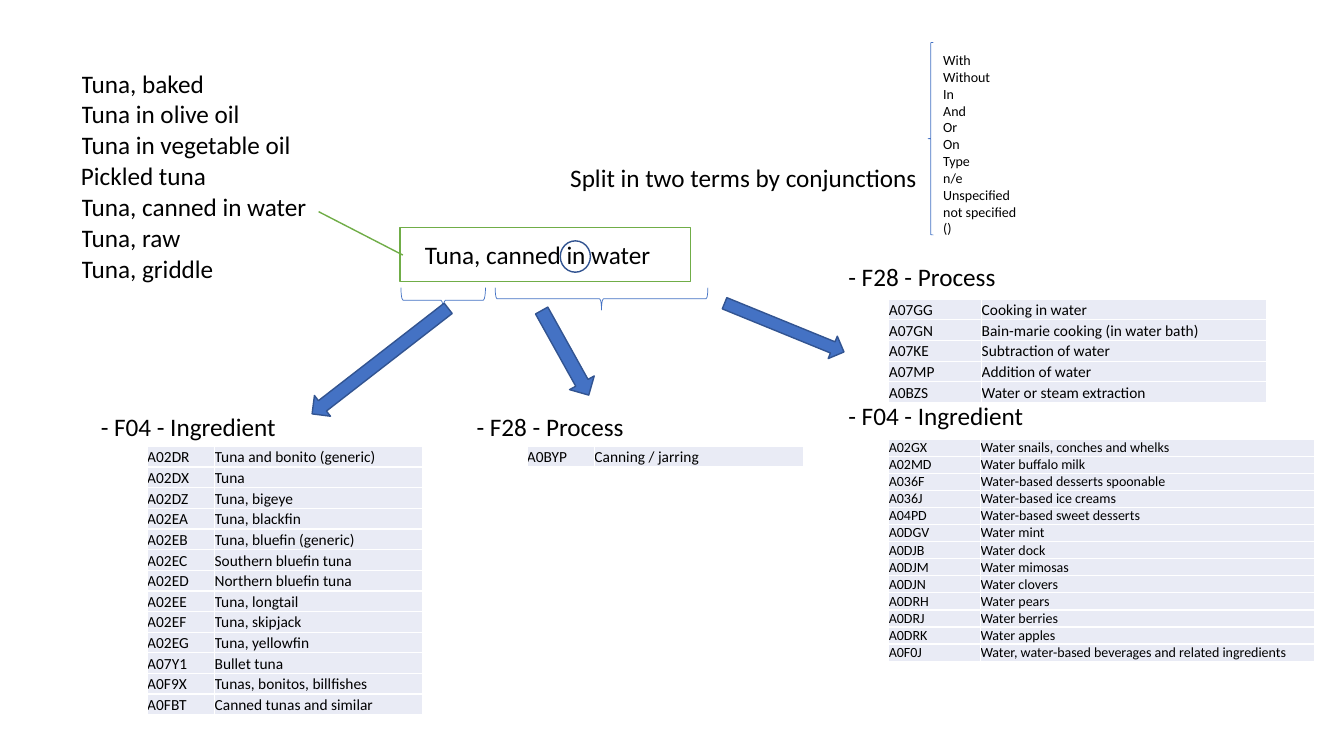
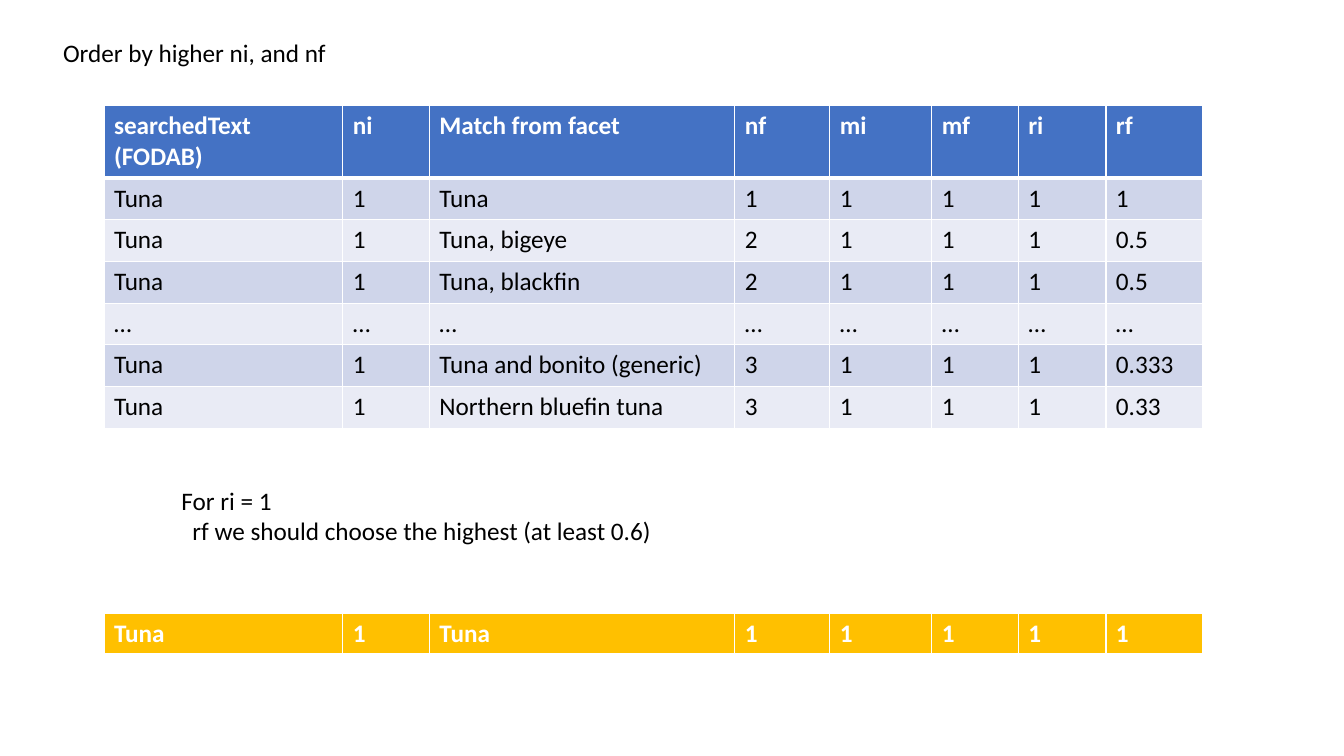
from dataclasses import dataclass
from typing import Any

from lxml.etree import SubElement
from pptx import Presentation
from pptx.dml.color import RGBColor
from pptx.enum.shapes import MSO_SHAPE
from pptx.enum.text import MSO_ANCHOR, MSO_AUTO_SIZE, PP_ALIGN
from pptx.oxml.ns import qn
from pptx.slide import Slide
from pptx.util import Cm, Pt

BLACK, WHITE, GOLD, GREEN = "000000", "FFFFFF", "FFC000", "70AD47"
BLUE, NAVY, BAND, PALE = "4472C4", "325491", "CFD5EA", "E9EBF5"
FONT = "Calibri"
PARAGRAPH_FORMAT = {
    "alignment": PP_ALIGN.LEFT,
    "line_spacing": 1.0,
    "space_before": Pt(0),
    "space_after": Pt(0),
}
FRAME_FORMAT = {
    "word_wrap": True,
    "auto_size": MSO_AUTO_SIZE.NONE,
    "vertical_anchor": MSO_ANCHOR.TOP,
    "margin_left": Cm(0.25),
    "margin_right": Cm(0.25),
    "margin_top": Cm(0.13),
    "margin_bottom": Cm(0.13),
}
TIGHT_CELL = {
    "vertical_anchor": MSO_ANCHOR.BOTTOM,
    "margin_left": 0,
    "margin_right": 0,
    "margin_top": 0,
    "margin_bottom": 0,
}
PLAIN_TABLE = {"first_row": False, "horz_banding": False}


@dataclass(frozen=True)
class Box:
    left: float
    top: float
    width: float
    height: float

    def lengths(self) -> tuple[Cm, Cm, Cm, Cm]:
        return Cm(self.left), Cm(self.top), Cm(self.width), Cm(self.height)


@dataclass(frozen=True)
class Label:
    text: str
    box: Box


@dataclass(frozen=True)
class Mark:
    kind: MSO_SHAPE
    box: Box
    line: str
    weight: float = 1
    rotation: float = 0
    fill: str | None = None
    adjustments: tuple[float, ...] = ()


@dataclass(frozen=True)
class RowStyle:
    fill: str | None
    height: float
    size: float = 18
    color: str = BLACK
    bold: bool = False
    bottom: float = 1
    tight: bool = False


@dataclass(frozen=True)
class Grid:
    left: float
    top: float
    columns: tuple[float, ...]
    rows: list[tuple[str, ...]]
    styles: list[RowStyle]


def rgb(value: str) -> RGBColor:
    return RGBColor.from_string(value)


def apply_format(target: Any, values: dict[str, Any]) -> None:
    for name, value in values.items():
        setattr(target, name, value)


def format_runs(frame: Any, size: float, color: str = BLACK, bold: bool = False) -> None:
    for paragraph in frame.paragraphs:
        apply_format(paragraph, PARAGRAPH_FORMAT)
        for run in paragraph.runs:
            apply_format(run.font, {"name": FONT, "size": Pt(size), "bold": bold})
            run.font.color.rgb = rgb(color)


def write_text(holder: Any, label: Label, size: float = 18) -> None:
    position = dict(zip(("left", "top", "width", "height"), label.box.lengths()))
    apply_format(holder, position)
    frame = holder.text_frame
    frame.text = label.text
    apply_format(frame, FRAME_FORMAT)
    format_runs(frame, size)
    for paragraph in frame.paragraphs:
        indent_paragraph(paragraph, 0)
        SubElement(paragraph._p.get_or_add_pPr(), qn("a:buNone"))


def indent_paragraph(paragraph: Any, indent: float) -> None:
    properties = paragraph._p.get_or_add_pPr()
    properties.set("marL", str(Cm(indent)))
    properties.set("indent", "0")


def add_label(slide: Slide, label: Label) -> None:
    write_text(slide.shapes.add_textbox(*label.box.lengths()), label)


def add_mark(slide: Slide, mark: Mark) -> None:
    shape = slide.shapes.add_shape(mark.kind, *mark.box.lengths())
    shape.shadow.inherit = False
    shape.rotation = mark.rotation
    paint(shape.fill, mark.fill)
    shape.line.color.rgb = rgb(mark.line)
    shape.line.width = Pt(mark.weight)
    for index, value in enumerate(mark.adjustments):
        shape.adjustments[index] = value


def paint(fill: Any, color: str | None) -> None:
    if color is None:
        fill.background()
    else:
        fill.solid()
        fill.fore_color.rgb = rgb(color)


def add_borders(cell: Any, bottom: float) -> None:
    properties = cell._tc.get_or_add_tcPr()
    for side, weight in (("L", 1), ("R", 1), ("T", 1), ("B", bottom)):
        border = SubElement(properties, qn(f"a:ln{side}"), w=str(Pt(weight)))
        SubElement(SubElement(border, qn("a:solidFill")), qn("a:srgbClr"), val=WHITE)


def add_grid(slide: Slide, grid: Grid) -> None:
    box = Box(grid.left, grid.top, sum(grid.columns), sum(s.height for s in grid.styles))
    table = slide.shapes.add_table(len(grid.rows), len(grid.columns), *box.lengths()).table
    apply_format(table, PLAIN_TABLE)
    for column, width in zip(table.columns, grid.columns):
        column.width = Cm(width)
    for row, texts, style in zip(table.rows, grid.rows, grid.styles):
        row.height = Cm(style.height)
        for cell, text in zip(row.cells, texts):
            cell.text = text
            if style.tight:
                apply_format(cell, TIGHT_CELL)
            if style.fill:
                add_borders(cell, style.bottom)
            paint(cell.fill, style.fill)
            format_runs(cell.text_frame, style.size, style.color, style.bold)


def facet_grid(left: float, top: float, columns: tuple[float, float],
               terms: dict[str, str], size: float = 11, height: float = 0.52) -> Grid:
    style = RowStyle(PALE, height, size, tight=True)
    return Grid(left, top, columns, list(terms.items()), [style] * len(terms))


FOODS = [("Tuna, baked\nTuna in olive oil",), ("Tuna in vegetable oil",), ("Pickled tuna",),
         ("Tuna, canned in water",), ("Tuna, raw",), ("Tuna, griddle",)]
FOOD_STYLES = [RowStyle(None, 0.78 * (1 + food.count("\n")), tight=True) for (food,) in FOODS]
CONJUNCTIONS = ("With", "Without", "In", "And", "Or", "On", "Type", "n/e",
                "Unspecified", "not specified", "()")
TUNA_TERMS = {
    "A02DR": "Tuna and bonito (generic)",
    "A02DX": "Tuna",
    "A02DZ": "Tuna, bigeye",
    "A02EA": "Tuna, blackfin",
    "A02EB": "Tuna, bluefin (generic)",
    "A02EC": "Southern bluefin tuna",
    "A02ED": "Northern bluefin tuna",
    "A02EE": "Tuna, longtail",
    "A02EF": "Tuna, skipjack",
    "A02EG": "Tuna, yellowfin",
    "A07Y1": "Bullet tuna",
    "A0F9X": "Tunas, bonitos, billfishes",
    "A0FBT": "Canned tunas and similar",
}
WATER_PROCESSES = {
    "A07GG": "Cooking in water",
    "A07GN": "Bain-marie cooking (in water bath)",
    "A07KE": "Subtraction of water",
    "A07MP": "Addition of water",
    "A0BZS": "Water or steam extraction",
}
WATER_TERMS = {
    "A02GX": "Water snails, conches and whelks",
    "A02MD": "Water buffalo milk",
    "A036F": "Water-based desserts spoonable",
    "A036J": "Water-based ice creams",
    "A04PD": "Water-based sweet desserts",
    "A0DGV": "Water mint",
    "A0DJB": "Water dock",
    "A0DJM": "Water mimosas",
    "A0DJN": "Water clovers",
    "A0DRH": "Water pears",
    "A0DRJ": "Water berries",
    "A0DRK": "Water apples",
    "A0F0J": "Water, water-based beverages and related ingredients",
}
SPLIT_GRIDS = [
    Grid(2.04, 1.73, (6.25,), FOODS, FOOD_STYLES),
    facet_grid(3.71, 11.25, (1.7, 5.23), TUNA_TERMS),
    facet_grid(13.28, 11.25, (1.7, 5.26), {"A0BYP": "Canning / jarring"}),
    facet_grid(22.4, 7.54, (2.34, 7.19), WATER_PROCESSES),
    facet_grid(22.4, 11.07, (2.31, 8.41), WATER_TERMS, 10, 0.43),
]
INGREDIENT, PROCESS = "- F04 - Ingredient", "- F28 - Process"
SPLIT_LABELS = [
    Label("Tuna, canned in water", Box(10.46, 5.89, 6.55, 1.02)),
    Label(INGREDIENT, Box(2.29, 10.23, 9, 1.02)),
    Label(PROCESS, Box(11.76, 10.23, 9, 1.02)),
    Label(PROCESS, Box(21.13, 6.45, 12.7, 1.02)),
    Label(INGREDIENT, Box(21.13, 9.96, 12.7, 1.02)),
]
BRACES = [
    Mark(MSO_SHAPE.LEFT_BRACE, box, BLUE, 0.5, rotation)
    for box, rotation in (
        (Box(10.85, 6.5, 0.64, 2.13), 270),
        (Box(14.88, 4.85, 0.56, 5.36), 270),
        (Box(23.39, 1.07, 0.13, 4.85), 0),
    )
]
ARROWS = [
    Mark(MSO_SHAPE.DOWN_ARROW, box, NAVY, 1, rotation, BLUE)
    for box, rotation in (
        (Box(9.25, 6.93, 0.66, 4.34), 52.2),
        (Box(13.89, 7.67, 0.71, 2.44), 330.9),
        (Box(19.46, 6.63, 0.61, 3.25), 292.2),
    )
]
FOOD_CALLOUT = Mark(MSO_SHAPE.LINE_CALLOUT_1, Box(10.08, 5.74, 7.32, 1.35), GREEN,
                    adjustments=(0.51, 0.01, -0.3, -0.28))
CONJUNCTION_RING = Mark(MSO_SHAPE.OVAL, Box(14.12, 6.07, 0.76, 0.79), NAVY)

MATCH_COLUMNS = (6.02, 2.18, 7.7, 2.39, 2.57, 2.18, 2.21, 2.44)
MATCHES = [
    ("searchedText\v(FODAB)", "ni", "Match from facet", "nf", "mi", "mf", "ri", "rf"),
    ("Tuna", "1", "Tuna", "1", "1", "1", "1", "1"),
    ("Tuna", "1", "Tuna, bigeye", "2", "1", "1", "1", "0.5"),
    ("Tuna", "1", "Tuna, blackfin", "2", "1", "1", "1", "0.5"),
    ("…",) * len(MATCH_COLUMNS),
    ("Tuna", "1", "Tuna and bonito (generic)", "3", "1", "1", "1", "0.333"),
    ("Tuna", "1", "Northern bluefin tuna", "3", "1", "1", "1", "0.33"),
]
MATCH_HEADER = RowStyle(BLUE, 1.83, color=WHITE, bold=True, bottom=3)
MATCH_BANDS = [RowStyle(BAND, 1.05), RowStyle(PALE, 1.05)] * 3
BEST_STYLE = RowStyle(GOLD, 1.05, color=WHITE, bold=True, bottom=3)
MATCH_GRIDS = [
    Grid(2.62, 2.66, MATCH_COLUMNS, MATCHES, [MATCH_HEADER, *MATCH_BANDS]),
    Grid(2.62, 15.46, MATCH_COLUMNS, [MATCHES[1]], [BEST_STYLE]),
]


def add_slide(deck: Any, title: Label, body: Label, body_size: float, grids: list[Grid]) -> Slide:
    slide = deck.slides.add_slide(deck.slide_layouts[1])
    write_text(slide.shapes.title, title)
    write_text(slide.placeholders[1], body, body_size)
    for grid in grids:
        add_grid(slide, grid)
    return slide


deck = Presentation()
apply_format(deck, {"slide_width": Cm(33.87), "slide_height": Cm(19.05)})

split = add_slide(
    deck,
    Label("Split in two terms by conjunctions", Box(14.12, 3.96, 9.4, 1.02)),
    Label("\n".join(CONJUNCTIONS), Box(23.52, 1.17, 3.89, 4.95)), 10, SPLIT_GRIDS)
for label in SPLIT_LABELS:
    add_label(split, label)
for mark in (FOOD_CALLOUT, CONJUNCTION_RING, *BRACES, *ARROWS):
    add_mark(split, mark)

ranking = add_slide(
    deck,
    Label("Order by higher ni, and nf", Box(1.34, 0.8, 13.67, 1.02)),
    Label("For ri = 1\nrf we should choose the highest (at least 0.6)",
          Box(4.32, 12.1, 16.94, 1.8)), 18, MATCH_GRIDS)
indent_paragraph(ranking.placeholders[1].text_frame.paragraphs[1], 0.28)

deck.save("out.pptx")
